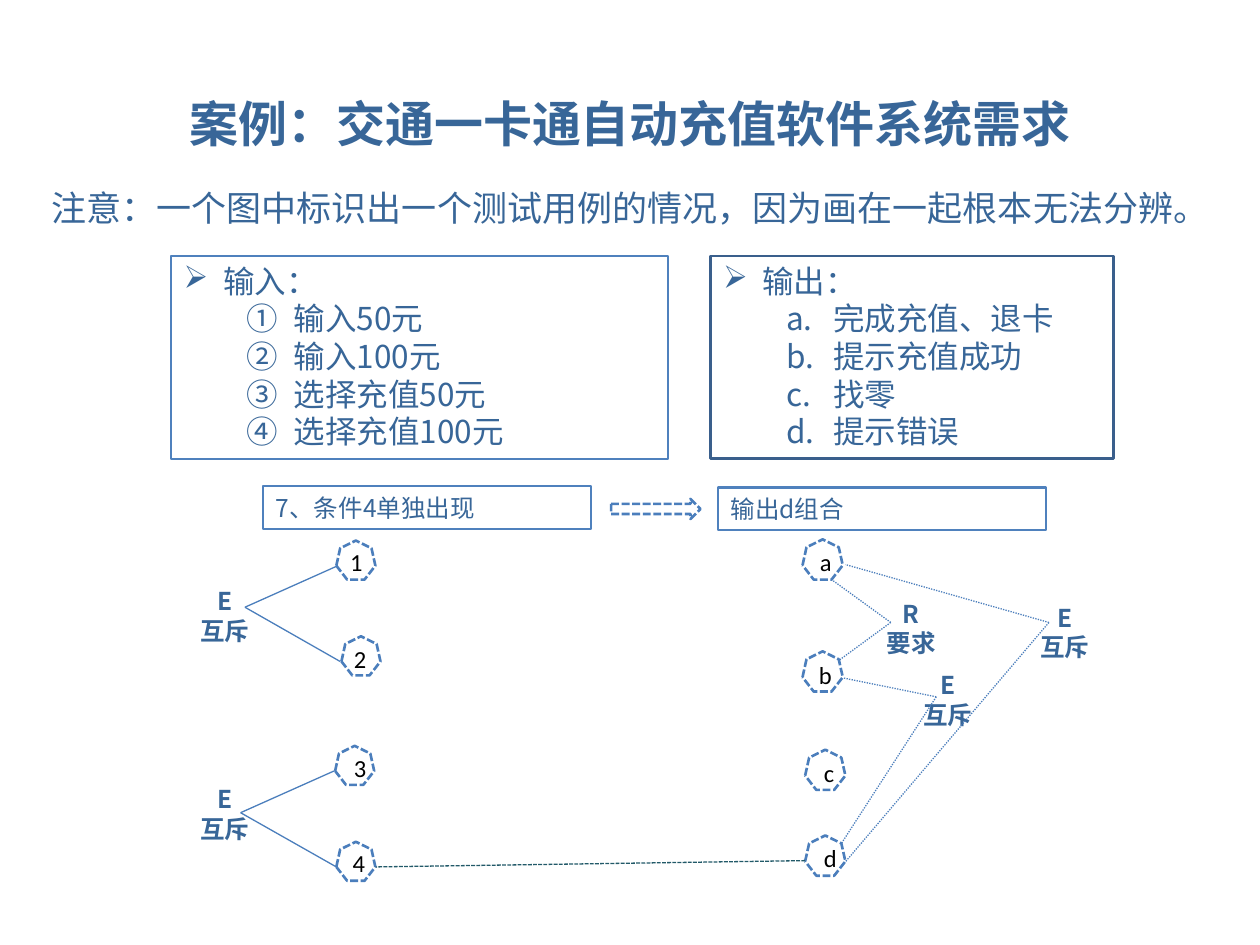
from pptx import Presentation
from pptx.dml.color import RGBColor
from pptx.enum.dml import MSO_LINE
from pptx.enum.shapes import MSO_CONNECTOR, MSO_SHAPE
from pptx.enum.text import MSO_ANCHOR, PP_ALIGN
from pptx.oxml.ns import qn
from pptx.util import Pt
from lxml.etree import SubElement


def color(value):
    return RGBColor.from_string(value)


class SlideBuilder:
    INK = "386698"
    BLUE = "4B7EBC"
    FRAME = "4F81BD"
    FONT = "Noto Sans CJK SC"

    def __init__(self, page):
        self.page = page

    def span(self, para, text, size, font=FONT, ink=INK, bold=False):
        span = para.add_run()
        span.text = text
        span.font.size = Pt(size)
        span.font.name = font
        span.font.bold = bold
        span.font.color.rgb = color(ink)
        SubElement(span._r.get_or_add_rPr(), qn("a:ea"), typeface=self.FONT)

    def lines(self, frame, texts, size, align=PP_ALIGN.LEFT, spacing=None, **style):
        frame.vertical_anchor = MSO_ANCHOR.TOP
        for index, text in enumerate(texts):
            para = frame.paragraphs[0] if index == 0 else frame.add_paragraph()
            para.alignment = align
            if spacing:
                para.line_spacing = Pt(spacing)
            self.span(para, text, size, **style)

    def text(self, left, top, width, height, texts, size, wrap=True, **style):
        box = self.page.shapes.add_textbox(Pt(left), Pt(top), Pt(width), Pt(height))
        box.text_frame.word_wrap = wrap
        self.lines(box.text_frame, texts, size, **style)

    def shape(self, kind, left, top, width, height, line, weight, fill=None, dash=None):
        box = self.page.shapes.add_shape(kind, Pt(left), Pt(top), Pt(width), Pt(height))
        box.shadow.inherit = False
        if fill:
            box.fill.solid()
            box.fill.fore_color.rgb = color(fill)
        else:
            box.fill.background()
        box.line.color.rgb = color(line)
        box.line.width = Pt(weight)
        box.line.dash_style = dash
        return box

    def panel(self, left, top, width, height, texts, size, spacing, line=FRAME, weight=1.25):
        box = self.shape(MSO_SHAPE.RECTANGLE, left, top, width, height, line, weight, "FFFFFF")
        box.text_frame.word_wrap = True
        self.lines(box.text_frame, texts, size, spacing=spacing)
        return box

    def bullet_panel(self, left, width, heading, items, numbering, **frame):
        box = self.panel(left, 146.2, width, 116, [heading] + items, 18, 21.5, **frame)
        for index, para in enumerate(box.text_frame.paragraphs):
            properties = para._p.get_or_add_pPr()
            margin, indent = (63, -27) if index else (22.5, -22.5)
            properties.set("marL", str(Pt(margin)))
            properties.set("indent", str(Pt(indent)))
            if index:
                para.level = 1
                SubElement(properties, qn("a:buFont"), typeface=self.FONT)
                SubElement(properties, qn("a:buAutoNum"), type=numbering)
            else:
                SubElement(properties, qn("a:buChar"), char="➢")

    def node(self, label, text_left, text_top, left, top, size):
        self.text(text_left, text_top, 17.3, 24.5, [label], 14, wrap=False,
                  font="Calibri", ink="000000")
        self.shape(MSO_SHAPE.HEPTAGON, left, top, size, size, self.BLUE, 1.5,
                   dash=MSO_LINE.SQUARE_DOT)

    def constraint(self, left, top, letter, name):
        self.text(left, top, 45, 41, [letter, name], 14, align=PP_ALIGN.CENTER,
                  spacing=17, bold=True)

    def link(self, start, end, ink=BLUE, dash=None):
        line = self.page.shapes.add_connector(
            MSO_CONNECTOR.STRAIGHT, *[Pt(value) for value in start + end])
        line.line.color.rgb = color(ink)
        line.line.width = Pt(0.75)
        line.line.dash_style = dash
        SubElement(line._element.spPr, qn("a:effectLst"))


def main():
    deck = Presentation()
    deck.slide_width, deck.slide_height = Pt(720), Pt(540)
    page = deck.slides.add_slide(deck.slide_layouts[6])
    slide = SlideBuilder(page)

    slide.text(36, 49.7, 648, 90, ["案例：交通一卡通自动充值软件系统需求"], 28,
               align=PP_ALIGN.CENTER, font="Roboto", bold=True)
    slide.text(22.3, 103, 675.4, 31.7,
               ["注意：一个图中标识出一个测试用例的情况，因为画在一起根本无法分辨。"], 20, spacing=24)

    for node in [
        ("1", 193, 308.9, 192.2, 308.9, 22.3),
        ("2", 195.1, 364.3, 195.1, 363.6, 22.3),
        ("3", 195.1, 427, 191.5, 426.2, 22.3),
        ("4", 194.4, 481, 192.2, 481, 22.3),
        ("a", 461.5, 308.9, 458.6, 308.2, 23),
        ("b", 460.8, 373.7, 458.6, 372.2, 23),
        ("c", 463.7, 429.8, 460.1, 428.4, 23),
        ("d", 463.7, 478.1, 460.1, 477.4, 23),
    ]:
        slide.node(*node)

    for constraint in [
        (106, 331.2, "E", "互斥"),
        (106, 444.2, "E", "互斥"),
        (498.2, 338.4, "R", "要求"),
        (519.1, 379.4, "E", "互斥"),
        (586.1, 340.6, "E", "互斥"),
    ]:
        slide.constraint(*constraint)

    for apex, ends, dash in [
        ((140, 347), [(193, 323.3), (194.4, 378)], None),
        ((137.5, 464.4), [(190.8, 440.6), (192.2, 495.4)], None),
        ((599.4, 355.7), [(483.1, 322.6), (483.1, 492.5)], MSO_LINE.ROUND_DOT),
        ((509, 355.7), [(475.2, 331.2), (479.5, 377.3)], MSO_LINE.ROUND_DOT),
        ((535, 398.2), [(481.7, 387.4), (481, 481.7)], MSO_LINE.ROUND_DOT),
    ]:
        for end in ends:
            slide.link(apex, end, dash=dash)
    slide.link((460.1, 491.8), (214.6, 495.4), "215968", MSO_LINE.SQUARE_DOT)

    slide.panel(150.5, 277.9, 187.2, 24.5, ["7、条件4单独出现"], 14, 17)
    slide.panel(410.4, 278.6, 187.2, 24.5, ["输出d组合"], 14, 17)
    slide.shape(MSO_SHAPE.RIGHT_ARROW, 349.2, 285.1, 51.1, 11.5, slide.BLUE, 1.5,
                dash=MSO_LINE.SQUARE_DOT)

    slide.bullet_panel(97.9, 283.7, "输入：",
                       ["输入50元", "输入100元", "选择充值50元", "选择充值100元"],
                       "circleNumDbPlain")
    slide.bullet_panel(406.1, 230.4, "输出：",
                       ["完成充值、退卡", "提示充值成功", "找零", "提示错误"],
                       "alphaLcPeriod", line="3A5F8C", weight=1.5)
    deck.save("out.pptx")


if __name__ == "__main__":
    main()
